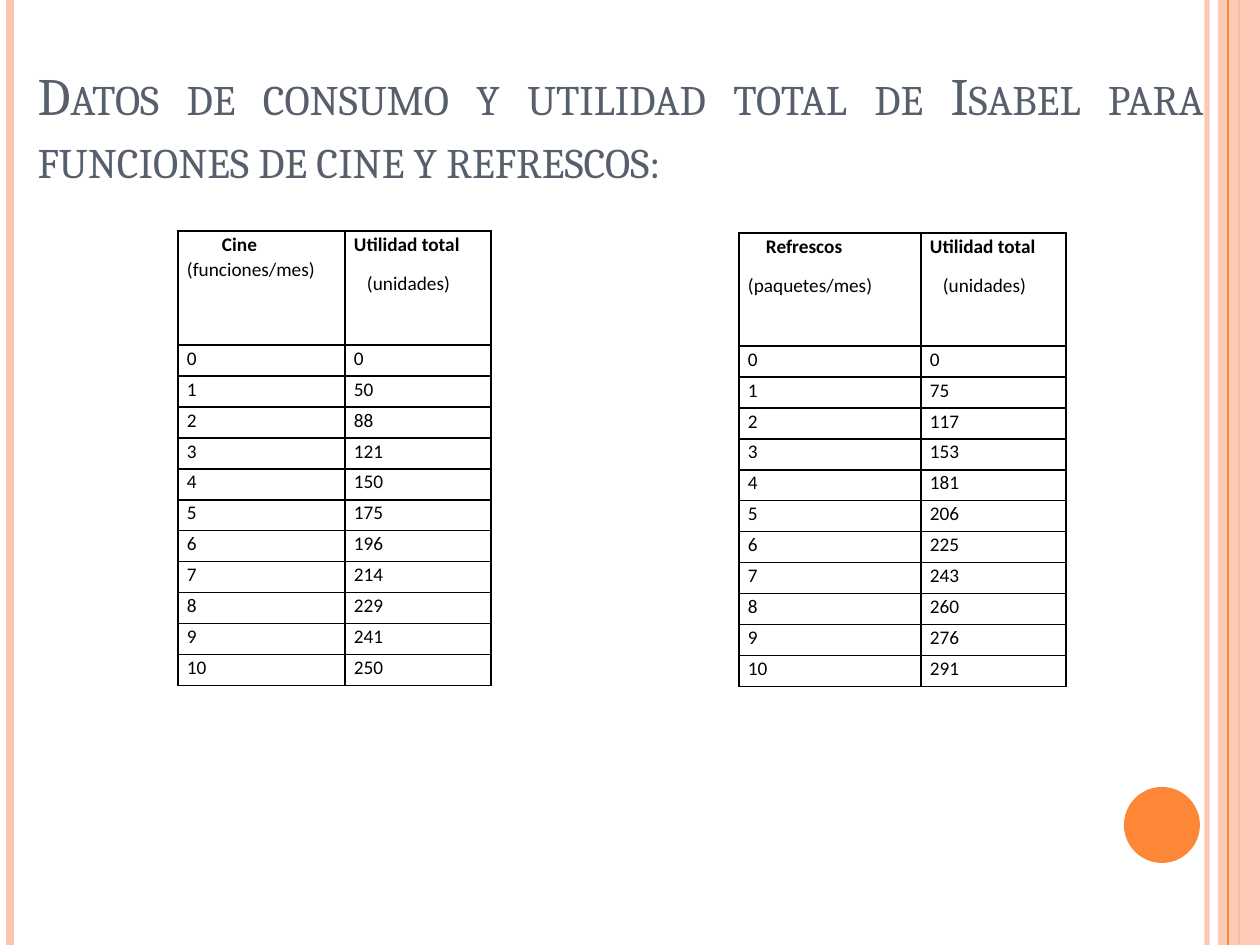
from lxml import etree
from pptx import Presentation
from pptx.dml.color import RGBColor
from pptx.enum.shapes import MSO_CONNECTOR, MSO_SHAPE
from pptx.enum.text import MSO_ANCHOR, MSO_AUTO_SIZE, PP_ALIGN
from pptx.oxml import parse_xml
from pptx.oxml.ns import nsdecls, qn
from pptx.util import Pt

PX = 914400 // 126
STRAIGHT = MSO_CONNECTOR.STRAIGHT
RECT, OVAL = MSO_SHAPE.RECTANGLE, MSO_SHAPE.OVAL
COLORS = {"peach": "FEC3AE", "orange": "FE8637", "title": "575F6D", "ink": "000000"}


def rgb(name):
    return RGBColor.from_string(COLORS[name])


def set_alpha(sp, percent):
    clr = next(sp._element.spPr.iter(qn("a:srgbClr")))
    etree.SubElement(clr, qn("a:alpha"), val=str(percent * 1000))


prs = Presentation()
prs.slide_width, prs.slide_height = 1260 * PX, 945 * PX
s = prs.slides.add_slide(prs.slide_layouts[5])

# Side bands: x, width, colour, line weight (None for the filled band), opacity
bands = [
    (1207, 0, "peach", 3, 93),
    (10, 0, "peach", 4.5, 100),
    (1239, 0, "orange", 1.5, 100),
    (1218, 42, "peach", None, 87),
    (1228, 0, "orange", 0.75, 100),
]
for x, width, color, weight, opacity in bands:
    if weight:
        sp = s.shapes.add_connector(STRAIGHT, x * PX, 0, x * PX, 945 * PX)
        sp.line.color.rgb = rgb(color)
        sp.line.width = Pt(weight)
        etree.SubElement(sp._element.spPr, qn("a:effectLst"))
    else:
        sp = s.shapes.add_shape(RECT, x * PX, 0, width * PX, 945 * PX)
        sp.shadow.inherit = False
        sp.fill.solid()
        sp.fill.fore_color.rgb = rgb(color)
        sp.line.fill.background()
    if opacity < 100:
        set_alpha(sp, opacity)

# Corner disc
disc = s.shapes.add_shape(OVAL, 1124 * PX, 787 * PX, 76 * PX, 76 * PX)
disc.shadow.inherit = False
disc.fill.solid()
disc.fill.fore_color.rgb = rgb("orange")
disc.line.fill.background()

# Title, in front of the bands
title = s.shapes.title
s.shapes._spTree.append(title._element)
title.left, title.top, title.width, title.height = 25 * PX, 38 * PX, 1191 * PX, 157 * PX
tf = title.text_frame
tf.word_wrap = True
tf.auto_size = MSO_AUTO_SIZE.NONE
tf.vertical_anchor = MSO_ANCHOR.BOTTOM
p = tf.paragraphs[0]
p.alignment = PP_ALIGN.JUSTIFY
r = p.add_run()
r.text = "Datos de consumo y utilidad total de Isabel para funciones de cine y refrescos:"
r.font.size, r.font.name = Pt(30), "Cambria"
r.font.color.rgb = rgb("title")
r._r.get_or_add_rPr().set("cap", "small")

# Tables: a cell lists paragraphs, a paragraph is (indent, [(text, bold)])
total_head = [(0, [("Utilidad total", True)]), (13, [("(unidades)", False)])]
tables = [
    {
        "at": (178, 231), "cols": (167, 146), "head_height": 114,
        "head": [(35, [("Cine ", True), ("(funciones/mes)", False)])],
        "totals": [0, 50, 88, 121, 150, 175, 196, 214, 229, 241, 250],
    },
    {
        "at": (739, 233), "cols": (182, 145), "head_height": 113,
        "head": [(18, [("Refrescos", True)]), (0, [("(paquetes/mes)", False)])],
        "totals": [0, 75, 117, 153, 181, 206, 225, 243, 260, 276, 291],
    },
]
ROW = 31
for t in tables:
    rows = [[t["head"], total_head]]
    for quantity, total in enumerate(t["totals"]):
        rows.append([[(0, [(str(value), False)])] for value in (quantity, total)])
    x, y = t["at"]
    height = t["head_height"] + ROW * len(t["totals"])
    tbl = s.shapes.add_table(
        len(rows), 2, x * PX, y * PX, sum(t["cols"]) * PX, height * PX
    ).table
    tbl.first_row = tbl.horz_banding = False
    for col, width in zip(tbl.columns, t["cols"]):
        col.width = width * PX
    for i, row in enumerate(rows):
        tbl.rows[i].height = (ROW if i else t["head_height"]) * PX
        for j, paragraphs in enumerate(row):
            cell = tbl.cell(i, j)
            cell.margin_left = cell.margin_right = 9 * PX
            cell.margin_top = cell.margin_bottom = 0
            cell.fill.background()
            tf = cell.text_frame
            for k, (indent, runs) in enumerate(paragraphs):
                p = tf.add_paragraph() if k else tf.paragraphs[0]
                p.line_spacing, p.space_after = 1.07, Pt(8)
                if indent:
                    p._p.get_or_add_pPr().set("indent", str(indent * PX))
                for text, bold in runs:
                    r = p.add_run()
                    r.text = text
                    r.font.size, r.font.name, r.font.bold = Pt(11), "Calibri", bold
                    r.font.color.rgb = rgb("ink")
            # Cell borders go before the fill
            for n, side in enumerate(("lnL", "lnR", "lnT", "lnB")):
                cell._tc.get_or_add_tcPr().insert(n, parse_xml(
                    f'<a:{side} {nsdecls("a")} w="{Pt(1)}"><a:solidFill>'
                    f'<a:srgbClr val="{COLORS["ink"]}"/></a:solidFill></a:{side}>'
                ))

prs.save("out.pptx")
